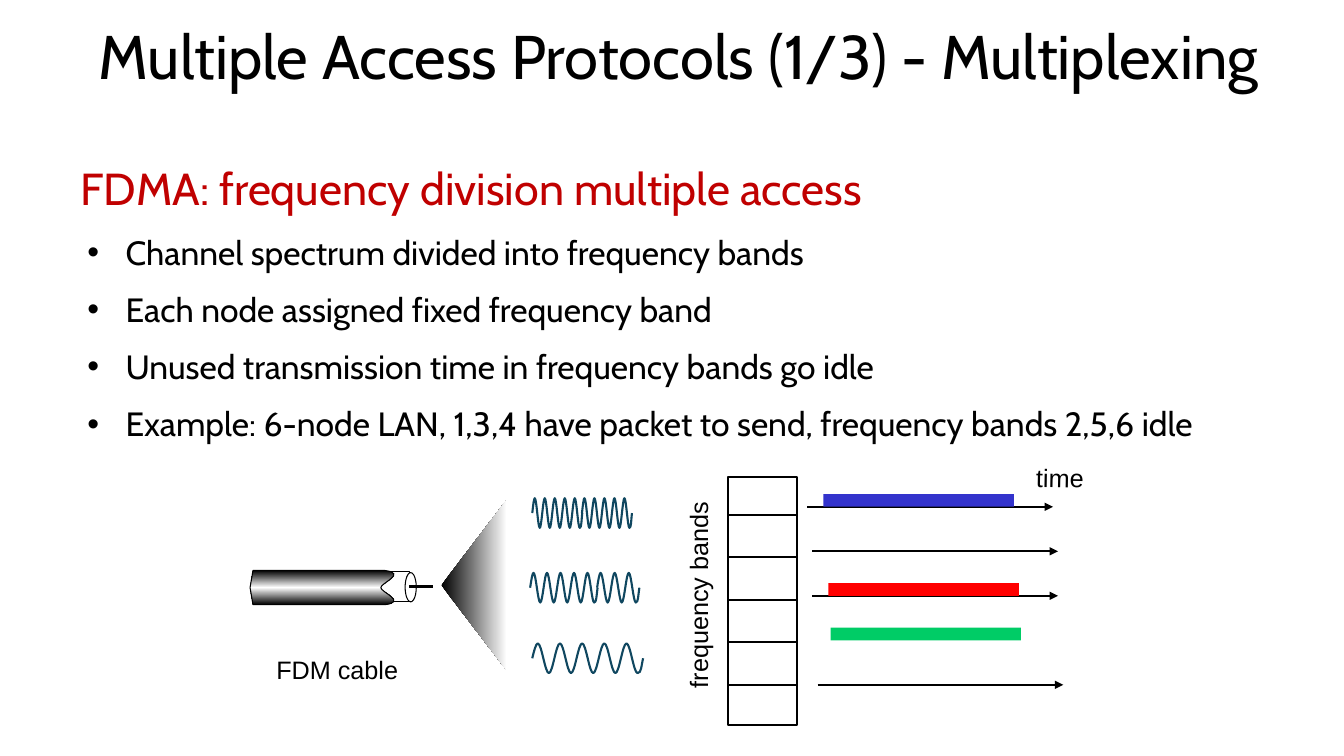
import pptx
import pptx.dml.color
import pptx.enum.shapes
import pptx.enum.text
import pptx.oxml
import pptx.oxml.ns
import pptx.util
from lxml import etree

Pt = pptx.util.Pt
qn = pptx.oxml.ns.qn
rgb = pptx.dml.color.RGBColor.from_string
SHAPE = pptx.enum.shapes.MSO_SHAPE


def write(paragraph, text, size, typeface, ink="000000"):
    run = paragraph.add_run()
    run.text = text
    for name, value in {"size": Pt(size), "name": typeface}.items():
        setattr(run.font, name, value)
    run.font.color.rgb = rgb(ink)


def paint(shape, fills=(), angle=0, ink=None, width=0.75):
    shape.shadow.inherit = False
    if len(fills) > 1:
        shape.fill.gradient()
        shape.fill.gradient_angle = angle
        stops = shape.element.spPr.find(qn("a:gradFill")).find(qn("a:gsLst"))
        for stop in list(stops):
            stops.remove(stop)
        for i, fill in enumerate(fills):
            stop = etree.SubElement(stops, qn("a:gs"), pos=str(100000 * i // (len(fills) - 1)))
            etree.SubElement(stop, qn("a:srgbClr"), val=fill)
    elif fills:
        shape.fill.solid()
        shape.fill.fore_color.rgb = rgb(fills[0])
    else:
        shape.fill.background()
    if ink:
        shape.line.color.rgb = rgb(ink)
        shape.line.width = Pt(width)
    else:
        shape.line.fill.background()


deck = pptx.Presentation()
deck.slide_width, deck.slide_height = Pt(960), Pt(540)
slide = deck.slides.add_slide(deck.slide_layouts[6])
shapes = slide.shapes

title = shapes.add_textbox(Pt(63.4), Pt(15.1), Pt(880.6), Pt(58.3)).text_frame
title.word_wrap = True
title.paragraphs[0].line_spacing = 0.9
write(title.paragraphs[0], "Multiple Access Protocols (1/3) - Multiplexing", 44, "Cabin")

body = shapes.add_textbox(Pt(50.4), Pt(117.4), Pt(859.7), Pt(204.5)).text_frame
body.word_wrap = True
heading = body.paragraphs[0]
heading.line_spacing = 0.85
heading.space_after = Pt(6)
write(heading, "FDMA: frequency division multiple access", 32, "Cabin", "C00000")

for point in (
    "Channel spectrum divided into frequency bands",
    "Each node assigned fixed frequency band",
    "Unused transmission time in frequency bands go idle",
    "Example: 6-node LAN, 1,3,4 have packet to send, frequency bands 2,5,6 idle",
):
    bullet = body.add_paragraph()
    properties = bullet._p.get_or_add_pPr()
    properties.set("marL", str(Pt(32.2)))
    properties.set("indent", str(Pt(-27.2)))
    etree.SubElement(properties, qn("a:buFont"), typeface="Arial")
    etree.SubElement(properties, qn("a:buChar"), char="•")
    bullet.space_before = bullet.space_after = Pt(6)
    write(bullet, point, 24, "Cabin")

band_column = shapes.add_shape(SHAPE.RECTANGLE, Pt(520), Pt(340.5), Pt(49.5), Pt(177.5))
paint(band_column, ["FFFFFF"], ink="000000", width=1.5)

sleeve = shapes.add_shape(SHAPE.RECTANGLE, Pt(271.5), Pt(408.4), Pt(20.9), Pt(21.4))
paint(sleeve, ["FFFFFF"], ink="000000")

cone = [(362, 357), (315.3, 418), (362, 479)]
jacket = [(180.7, 407.5), (178.6, 419.7), (180.7, 431.9), (275, 431.9),
          (291, 429.9), (272, 422.9), (272, 419.7),
          (272, 416.5), (291, 409.5), (275, 407.5)]
outlines = [
    (cone, 2, True, {"fills": ["000000", "FFFFFF"]}),
    (jacket, 3, True, {"fills": ["000000", "FFFFFF", "000000"], "angle": 90, "ink": "000000"}),
]
for left, middle, length, cycles in (
    (380.2, 470.2, 79.2, 5), (380.2, 366.5, 35.7, 5), (415.7, 366.5, 35.7, 5),
    (378.7, 419.8, 48.2, 5), (426.5, 419.8, 30.2, 3),
):
    quarter = length / cycles / 4
    turns = [(left + quarter * (2 * i + 1), middle + (10.6 if i % 2 else -10.6))
             for i in range(2 * cycles)]
    wave = [(left, middle), (left + quarter / 3, middle - 5.3)]
    for x, y in turns:
        wave += [(x - quarter * 0.7, y), (x, y), (x + quarter * 0.7, y)]
    wave[2] = (turns[0][0] - quarter / 3, turns[0][1])
    wave += [(left + length - quarter / 3, middle + 5.3), (left + length, middle)]
    outlines.append((wave, 0, False, {"ink": "104760", "width": 1.5}))

for points, straight, closed, look in outlines:
    builder = shapes.build_freeform(Pt(points[0][0]), Pt(points[0][1]), scale=1.0)
    builder.add_line_segments([(Pt(x), Pt(y)) for x, y in points[1:]], close=closed)
    outline = builder.convert_to_shape()
    paint(outline, **look)
    segments = list(outline.element.spPr.iter(qn("a:lnTo")))[straight:]
    for i in range(0, len(segments), 3):
        curve = etree.Element(qn("a:cubicBezTo"))
        segments[i].addprevious(curve)
        for segment in segments[i:i + 3]:
            curve.append(segment[0])
            segment.getparent().remove(segment)

cable_end = shapes.add_shape(SHAPE.OVAL, Pt(289.4), Pt(409), Pt(8), Pt(20.9))
paint(cable_end, ["FFFFFF"], ink="000000")

lane_y = [362 + 31.8 * lane for lane in range(5)]
dividers = [(520, 367.8 + 30.3 * i, 49.5, 1.5, False) for i in range(5)]
time_axes = [(x, lane_y[lane], 175.5, 1.5, True)
             for x, lane in ((576.7, 0), (580.3, 1), (580.3, 2), (584, 4))]
cable_core = (292.5, 419.2, 17, 2.25, False)
for x, y, length, width, arrow in dividers + time_axes + [cable_core]:
    rule = shapes.add_connector(
        pptx.enum.shapes.MSO_CONNECTOR.STRAIGHT, Pt(x), Pt(y), Pt(x + length), Pt(y))
    rule.line.color.rgb = rgb("000000")
    rule.line.width = Pt(width)
    if arrow:
        etree.SubElement(rule.element.spPr.find(qn("a:ln")), qn("a:tailEnd"), type="triangle")
    etree.SubElement(rule.element.spPr, qn("a:effectLst"))

for x, lane, ink in ((588.2, 0, "3333CC"), (591.8, 2, "FF0000"), (593.3, 3, "00CC66")):
    packet = shapes.add_shape(SHAPE.RECTANGLE, Pt(x), Pt(lane_y[lane] - 9), Pt(136), Pt(9))
    paint(packet, [ink])

for label, x, y, width, turn in (
    ("frequency bands", 424.8, 410.4, 147.6, 270),
    ("time", 733, 326.9, 48.2, 1.1),
    ("FDM cable", 190.3, 463.7, 101.5, 0),
):
    caption = shapes.add_textbox(Pt(x), Pt(y), Pt(width), Pt(28.8))
    caption.rotation = turn
    caption.text_frame.word_wrap = False
    caption.text_frame.auto_size = pptx.enum.text.MSO_AUTO_SIZE.SHAPE_TO_FIT_TEXT
    write(caption.text_frame.paragraphs[0], label, 18, "Arial")

deck.save("out.pptx")
